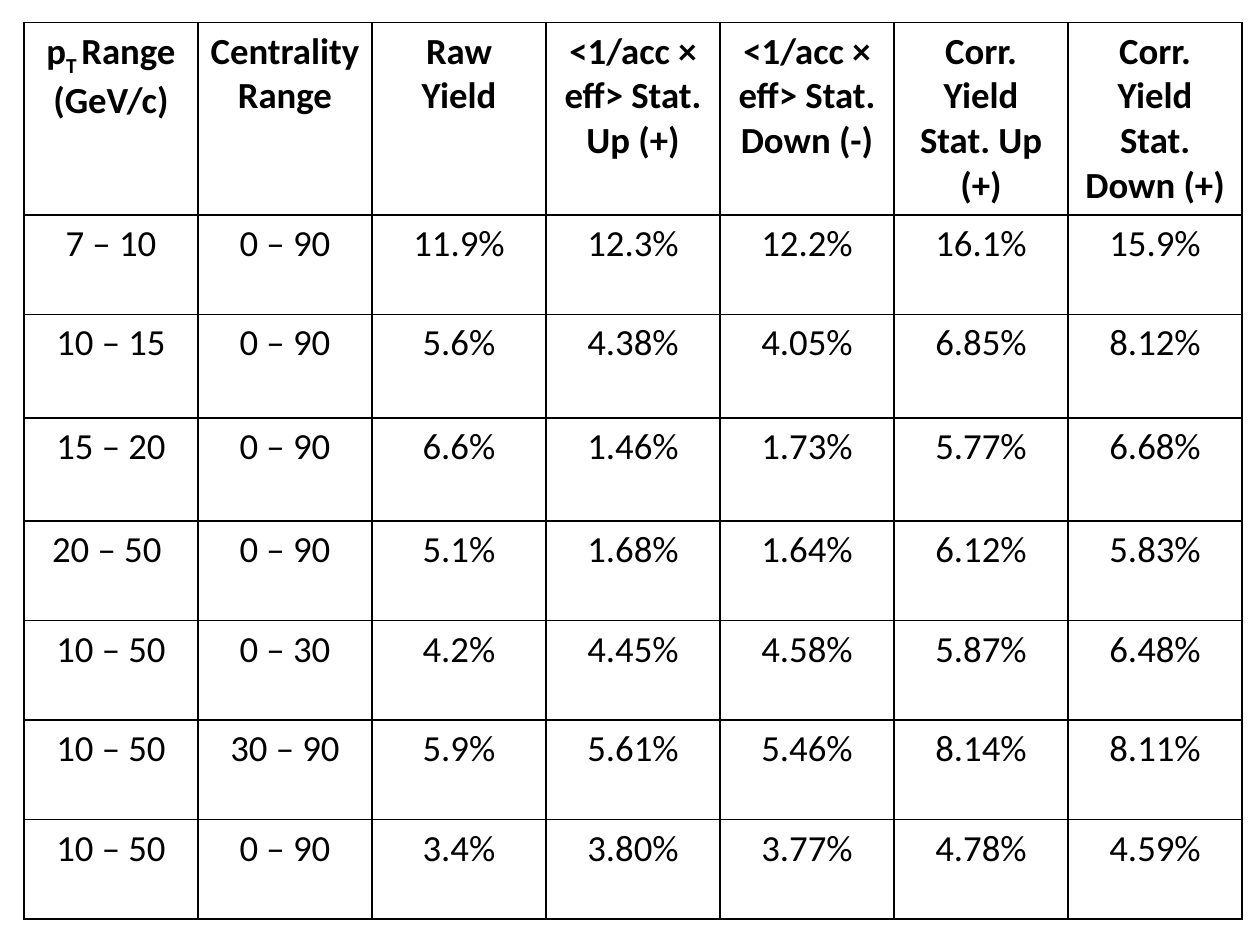
"""Build a slide with a table of statistical uncertainties by range."""
from lxml.etree import SubElement as Sub
from pptx import Presentation as Deck
from pptx.dml.color import RGBColor as Color
from pptx.enum.text import PP_ALIGN as Align
from pptx.oxml.ns import qn
from pptx.util import Inches, Pt

COLORS = {"ink": "000000"}
FONT = "Calibri"
LEFT, TOP, WIDTH = 0.19, 0.18, 9.67
HEIGHTS = [1.52, 0.79, 0.82, 0.82, 0.79, 0.79, 0.79, 0.79]
HEAD = [
    ("p", "T ", "Range (GeV/c)"),
    "Centrality Range",
    "Raw Yield",
    "<1/acc × eff> Stat. Up (+)",
    "<1/acc × eff> Stat. Down (-)",
    "Corr. Yield Stat. Up (+)",
    "Corr. Yield Stat. Down (+)",
]
BODY = [
    ["7 – 10", "0 – 90", "11.9%", "12.3%", "12.2%", "16.1%", "15.9%"],
    ["10 – 15", "0 – 90", "5.6%", "4.38%", "4.05%", "6.85%", "8.12%"],
    ["15 – 20", "0 – 90", "6.6%", "1.46%", "1.73%", "5.77%", "6.68%"],
    ["20 – 50 ", "0 – 90", "5.1%", "1.68%", "1.64%", "6.12%", "5.83%"],
    ["10 – 50", "0 – 30", "4.2%", "4.45%", "4.58%", "5.87%", "6.48%"],
    ["10 – 50", "30 – 90", "5.9%", "5.61%", "5.46%", "8.14%", "8.11%"],
    ["10 – 50", "0 – 90", "3.4%", "3.80%", "3.77%", "4.78%", "4.59%"],
]


def add_edges(cell):
    props = cell._tc.get_or_add_tcPr()
    for side in ("a:lnL", "a:lnR", "a:lnT", "a:lnB"):
        line = Sub(props, qn(side), w=str(Pt(1)))
        fill = Sub(line, qn("a:solidFill"))
        Sub(fill, qn("a:srgbClr"), val=COLORS["ink"])


def write(cell, text, bold):
    para = cell.text_frame.paragraphs[0]
    if isinstance(text, tuple):
        for part in text:
            para.add_run().text = part
        para.runs[1]._r.get_or_add_rPr().set("baseline", "-25000")
    else:
        para.text = text
    para.alignment = Align.CENTER
    for run in para.runs:
        font = run.font
        font.name, font.size, font.bold = FONT, Pt(21), bold
        font.color.rgb = Color.from_string(COLORS["ink"])


def add_grid(slide, rows):
    frame = slide.shapes.add_table(
        len(rows), len(HEAD), Inches(LEFT), Inches(TOP),
        Inches(WIDTH), Inches(sum(HEIGHTS)))
    table = frame.table
    table.first_row = table.horz_banding = False
    for row, height in zip(table.rows, HEIGHTS):
        row.height = Inches(height)
    for r, texts in enumerate(rows):
        for c, text in enumerate(texts):
            cell = table.cell(r, c)
            write(cell, text, r == 0)
            add_edges(cell)
            cell.fill.background()


def main():
    deck = Deck()
    deck.slide_width, deck.slide_height = Inches(10), Inches(7.5)
    slide = deck.slides.add_slide(deck.slide_layouts[6])
    add_grid(slide, [HEAD] + BODY)
    deck.save("out.pptx")


main()
